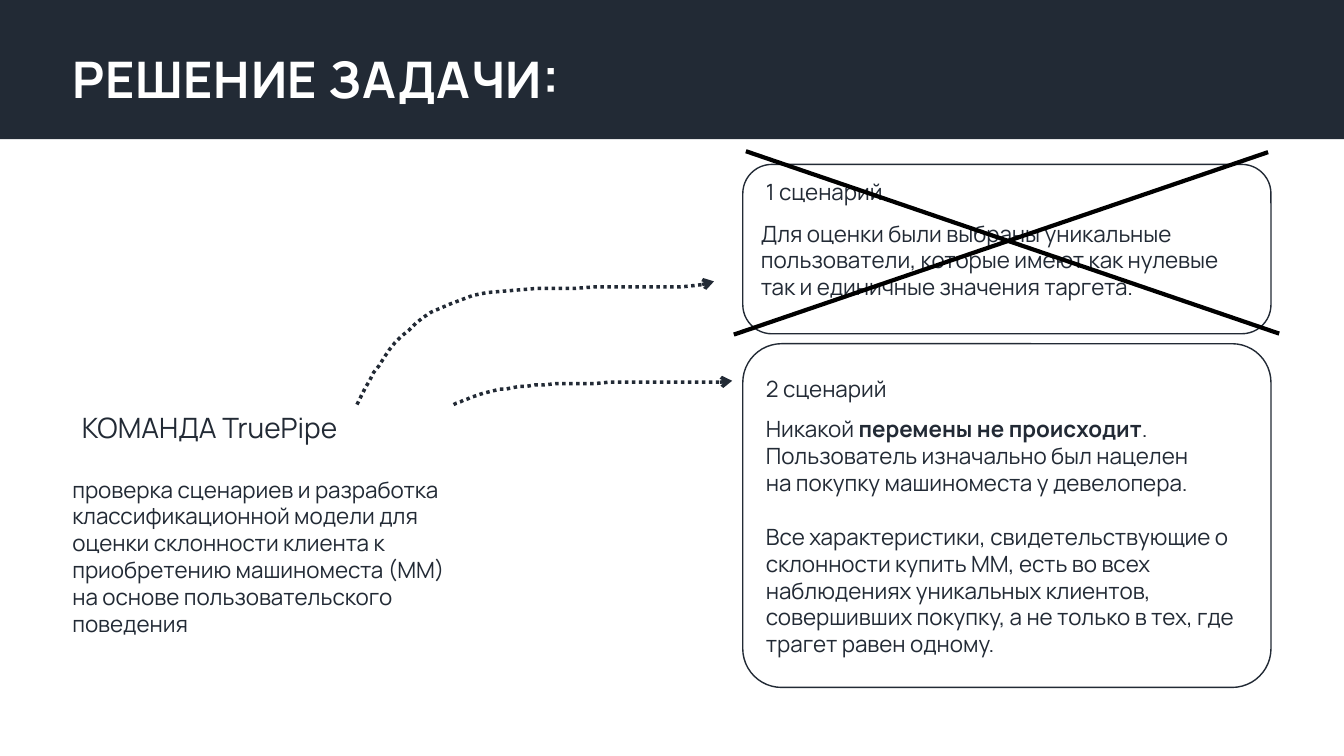
from lxml.etree import SubElement
from pptx import Presentation
from pptx.dml.color import RGBColor
from pptx.enum.dml import MSO_LINE
from pptx.enum.shapes import MSO_CONNECTOR, MSO_SHAPE
from pptx.enum.text import MSO_ANCHOR, MSO_AUTO_SIZE, PP_ALIGN
from pptx.oxml.ns import qn
from pptx.util import Pt

FONT = "Manrope"
NAVY, WHITE, BLACK = "222A35", "FFFFFF", "000000"
LINE_GAP = 19.4

TITLE = ("РЕШЕНИЕ ЗАДАЧИ:", (44.6, 31, 413.3, 51.1))
BAR = (0, 0, 960, 99.4)

# box, size, alignment, paragraphs: (space before, [(text, bold)])
TEXTS = [
    ((37.4, 289.4, 224.6, 31.7), 20, PP_ALIGN.CENTER,
     [(0, [("КОМАНДА TruePipe", False)])]),
    ((44.6, 336.2, 296.6, 143.3), 16, PP_ALIGN.LEFT,
     [(0, [("проверка сценариев и разработка классификационной модели для оценки "
            "склонности клиента к приобретению машиноместа (ММ) на основе "
            "пользовательского поведения", False)])]),
    ((540, 123.8, 130.3, 26.6), 16, PP_ALIGN.LEFT, [(0, [("1 сценарий", False)])]),
    ((536.4, 153.4, 367.2, 65.5), 16, PP_ALIGN.LEFT,
     [(0, [("Для оценки были выбраны уникальные пользователи, которые имеют "
            "как нулевые так и единичные значения таргета.", False)])]),
    ((540, 264.2, 130.3, 26.6), 16, PP_ALIGN.LEFT, [(0, [("2 сценарий", False)])]),
    ((540, 293, 355, 181.4), 16, PP_ALIGN.LEFT,
     [(0, [("Никакой ", False), ("перемены не происходит", True), (".", False)]),
      (0, [("Пользователь изначально был нацелен \nна покупку машиноместа "
            "у девелопера.", False)]),
      (LINE_GAP, [("Все характеристики, свидетельствующие о склонности купить ММ, "
                   "есть во всех наблюдениях уникальных клиентов, совершивших "
                   "покупку, а не только в тех, где трагет равен одному.", False)])]),
]

# box, corner radius ratio
FRAMES = [((530.6, 117.4, 377.3, 121), 0.172), ((530.6, 245.5, 377.3, 245.5), 0.113)]

# start point, then cubic pieces: two control points and an end point
ARROWS = [
    ((254.9, 288.7), [((270.7, 258.5), (287.3, 228.2), (329.8, 213.8)),
                      ((372.2, 198.7), (479.5, 211), (510.5, 200.9))]),
    ((324, 289.4), [((336.2, 283.7), (349.2, 277.9), (382.3, 275)),
                    ((415.4, 272.2), (499, 274.3), (522.7, 272.2))]),
]
CROSS = [(532.8, 108, 913.7, 238.3), (905.8, 108.7, 524.2, 239)]
STEPS = 16


def pts(values):
    return [Pt(v) for v in values]


def color(value):
    return RGBColor.from_string(value)


def style_line(line, value, width):
    line.color.rgb = color(value)
    line.width = Pt(width)


def add_run(p, text, size, value, bold):
    r = p.add_run()
    r.text = text
    r.font.name, r.font.size, r.font.bold = FONT, Pt(size), bold
    r.font.color.rgb = color(value)
    return r


def add_text(s, box, size, align, paragraphs):
    tf = s.shapes.add_textbox(*pts(box)).text_frame
    tf.word_wrap = True
    for i, (before, runs) in enumerate(paragraphs):
        p = tf.paragraphs[0] if i == 0 else tf.add_paragraph()
        p.alignment = align
        if before:
            p.space_before = Pt(before)
        for text, bold in runs:
            for j, part in enumerate(text.split("\n")):
                if j:
                    p.add_line_break()
                add_run(p, part, size, NAVY, bold)


def curve_points(start, pieces):
    """Sample a chain of cubic curves, leaving out the start point."""
    points = []
    for a, b, end in pieces:
        for i in range(1, STEPS + 1):
            t = i / STEPS
            u = 1 - t
            points.append(tuple(
                u**3 * start[k] + 3 * u * u * t * a[k] + 3 * u * t * t * b[k] + t**3 * end[k]
                for k in (0, 1)))
        start = end
    return points


def add_arrow(s, start, pieces):
    fb = s.shapes.build_freeform(*start, scale=Pt(1))
    fb.add_line_segments(curve_points(start, pieces), close=False)
    sp = fb.convert_to_shape()
    sp.shadow.inherit = False
    sp.fill.background()
    style_line(sp.line, NAVY, 2.5)
    sp.line.dash_style = MSO_LINE.ROUND_DOT
    ln = sp.line._get_or_add_ln()
    SubElement(ln, qn("a:round"))
    SubElement(ln, qn("a:tailEnd"), type="arrow")


def add_title(s, text, box):
    sp = s.shapes.title
    sp.left, sp.top, sp.width, sp.height = pts(box)
    tf = sp.text_frame
    tf.auto_size = MSO_AUTO_SIZE.NONE
    tf.vertical_anchor = MSO_ANCHOR.TOP
    p = tf.paragraphs[0]
    p.alignment = PP_ALIGN.LEFT
    rpr = add_run(p, text, 36, WHITE, True).font._element
    rpr.set("spc", "50")
    effects = SubElement(rpr, qn("a:effectLst"))
    rpr.find(qn("a:solidFill")).addnext(effects)
    shadow = SubElement(effects, qn("a:outerShdw"), blurRad="63500", dist="38100", dir="2700000")
    SubElement(SubElement(shadow, qn("a:srgbClr"), val=BLACK), qn("a:alpha"), val="50000")


def main():
    prs = Presentation()
    prs.slide_width, prs.slide_height = Pt(960), Pt(540)
    s = prs.slides.add_slide(prs.slide_layouts[5])

    bar = s.shapes.add_shape(MSO_SHAPE.RECTANGLE, *pts(BAR))
    bar.shadow.inherit = False
    bar.fill.solid()
    bar.fill.fore_color.rgb = color(NAVY)
    bar.line.fill.background()
    s.shapes.title._element.addprevious(bar._element)
    add_title(s, *TITLE)

    for arrow in ARROWS:
        add_arrow(s, *arrow)
    for text in TEXTS:
        add_text(s, *text)
    for box, radius in FRAMES:
        sp = s.shapes.add_shape(MSO_SHAPE.ROUNDED_RECTANGLE, *pts(box))
        sp.adjustments[0] = radius
        sp.shadow.inherit = False
        sp.fill.background()
        style_line(sp.line, NAVY, 1)
    for ends in CROSS:
        stroke = s.shapes.add_connector(MSO_CONNECTOR.STRAIGHT, *pts(ends))
        style_line(stroke.line, BLACK, 3)
        SubElement(stroke._element.spPr, qn("a:effectLst"))

    prs.save("out.pptx")


if __name__ == "__main__":
    main()
